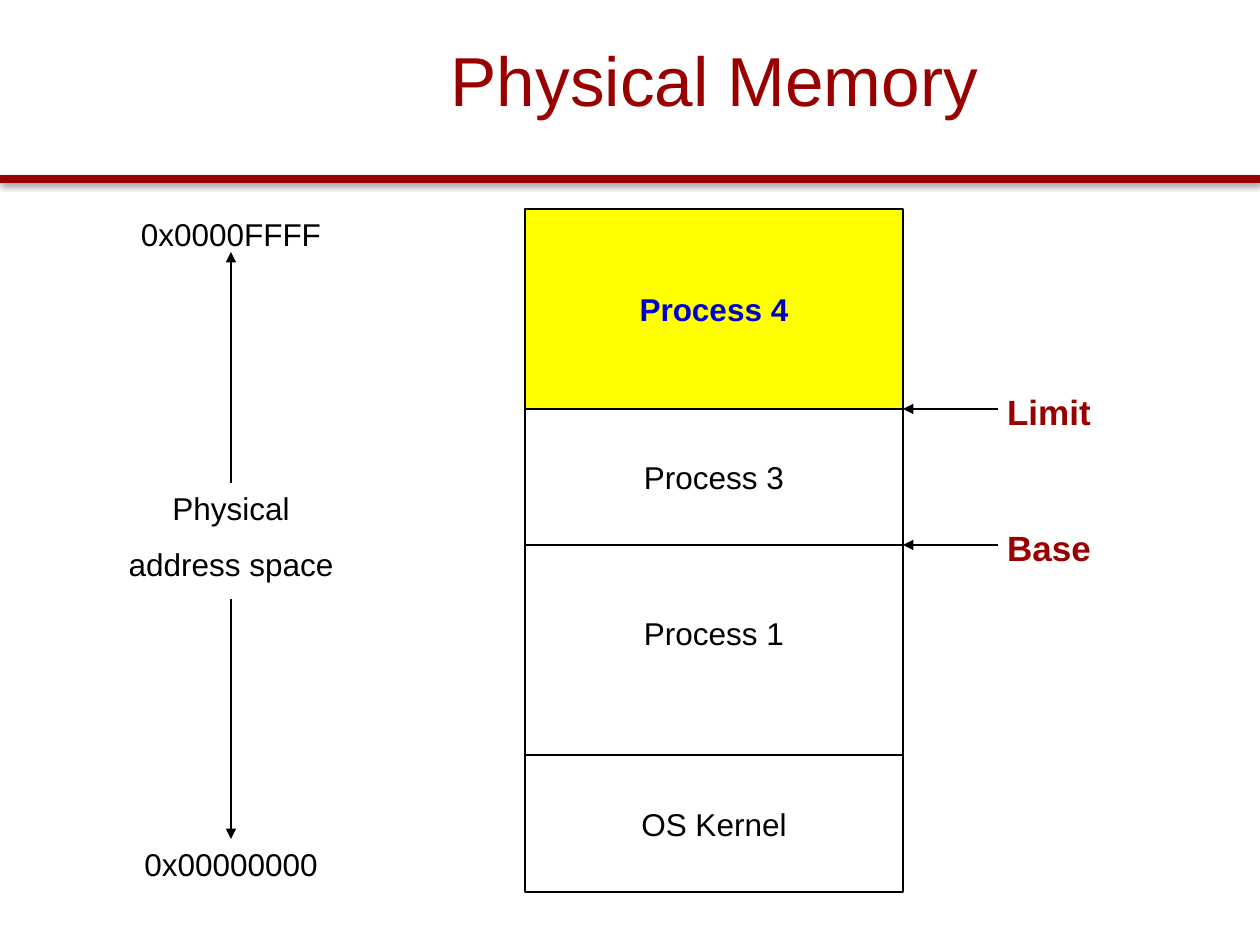
from lxml.etree import SubElement
from pptx import Presentation
from pptx.dml.color import RGBColor
from pptx.enum.shapes import MSO_CONNECTOR as Connector, MSO_SHAPE as Shape
from pptx.enum.text import MSO_ANCHOR as Anchor, PP_ALIGN as Align
from pptx.oxml.ns import qn
from pptx.util import Emu, Pt

COLORS = {"red": "990000", "black": "000000", "white": "FFFFFF",
          "yellow": "FFFF00", "blue": "0000CC"}
PROCESSES = [
    ("Process 4", 200, "yellow", "blue", True, 6),
    ("Process 3", 136, "white", "black", False, 6),
    ("Process 1", 210, None, "black", False, 40),
    ("OS Kernel", 137, None, "black", False, 6),
]


def px(length):
    """Turn pixels into EMU."""
    return Emu(round(length * 914400 / 126))


def color(name):
    """Look up a named colour."""
    return RGBColor.from_string(COLORS[name])


def write(frame, lines, size, ink="black", bold=False, wrap=False,
          anchor=Anchor.TOP, gap=0):
    """Fill a text frame with centred lines."""
    frame.word_wrap = wrap
    frame.vertical_anchor = anchor
    for index, line in enumerate(lines):
        paragraph = frame.add_paragraph() if index else frame.paragraphs[0]
        paragraph.text = line
        paragraph.alignment = Align.CENTER
        paragraph.space_before = Pt(gap if index else 0)
        font = paragraph.font
        font.name, font.size, font.bold = "Arial", Pt(size), bold
        font.color.rgb = color(ink)


def add_label(slide, box, lines, size, **style):
    """Add a text box."""
    label = slide.shapes.add_textbox(*map(px, box))
    write(label.text_frame, lines, size, **style)
    return label


def add_line(slide, start, end, weight, ink="black", arrow=True):
    """Add a straight line without effects and return it with its effect list."""
    line = slide.shapes.add_connector(Connector.STRAIGHT, *map(px, start + end))
    line.line.color.rgb = color(ink)
    line.line.width = Pt(weight)
    if arrow:
        SubElement(line.line._get_or_add_ln(), qn("a:tailEnd"), type="triangle")
    effects = SubElement(line._element.spPr, qn("a:effectLst"))
    return line, effects


def add_header(slide, left, top, width, height):
    """Place the title above a shadowed rule along the bottom of the box."""
    bottom = top + height
    _, effects = add_line(slide, (left, bottom), (left + width, bottom), 5, "red", False)
    shadow = SubElement(effects, qn("a:outerShdw"), blurRad="40000", dist="20000",
                        dir="5400000", rotWithShape="0")
    black = SubElement(shadow, qn("a:srgbClr"), val=COLORS["black"])
    SubElement(black, qn("a:alpha"), val="38000")
    add_label(slide, (left + 179, top + 32, 1071, 94), ["Physical Memory"], 39.6,
              ink="red", wrap=True, anchor=Anchor.MIDDLE)


def add_memory(slide, left, top, width):
    """Stack the memory blocks downwards and return the top of each."""
    tops = []
    for name, height, fill, ink, bold, bottom_inset in PROCESSES:
        block = slide.shapes.add_shape(
            Shape.RECTANGLE, *map(px, (left, top, width, height)))
        block.shadow.inherit = False
        if fill:
            block.fill.solid()
            block.fill.fore_color.rgb = color(fill)
        else:
            block.fill.background()
        block.line.color.rgb = color("black")
        block.line.width = Pt(1)
        block.text_frame.margin_bottom = px(bottom_inset)
        write(block.text_frame, [name], 18, ink=ink, bold=bold, anchor=Anchor.MIDDLE)
        tops.append(top)
        top += height
    return tops


def add_register(slide, left, middle, name):
    """Point a register name at a block boundary."""
    add_line(slide, (left + 95, middle), (left, middle), 0.75)
    add_label(slide, (left + 91, middle - 25, 110, 54), [name], 20, ink="red", bold=True)


def add_address_space(slide, left, top, width, height):
    """Place the address range with arrows from its name to both ends."""
    center = left + width // 2
    bottom = top + height
    add_label(slide, (left, top, width, 50), ["0x0000FFFF"], 18)
    lowest = add_label(slide, (left, bottom - 50, width, 50), ["0x00000000"], 18)
    space = add_label(slide, (left, top + 274, width, 107),
                      ["Physical", "address space"], 18, gap=10)
    up, _ = add_line(slide, (center, top + 274), (center, top + 43), 1)
    up.begin_connect(space, 0)
    down, _ = add_line(slide, (center, top + 390), (center, bottom - 50), 0.75)
    down.end_connect(lowest, 0)


def main():
    """Build the slide."""
    deck = Presentation()
    deck.slide_width, deck.slide_height = px(1260), px(945)
    slide = deck.slides.add_slide(deck.slide_layouts[6])
    add_header(slide, 0, 0, 1260, 179)
    tops = add_memory(slide, 525, 209, 378)
    for name, boundary in zip(("Limit", "Base"), tops[1:]):
        add_register(slide, 903, boundary, name)
    add_address_space(slide, 116, 209, 230, 680)
    deck.save("out.pptx")


if __name__ == "__main__":
    main()
